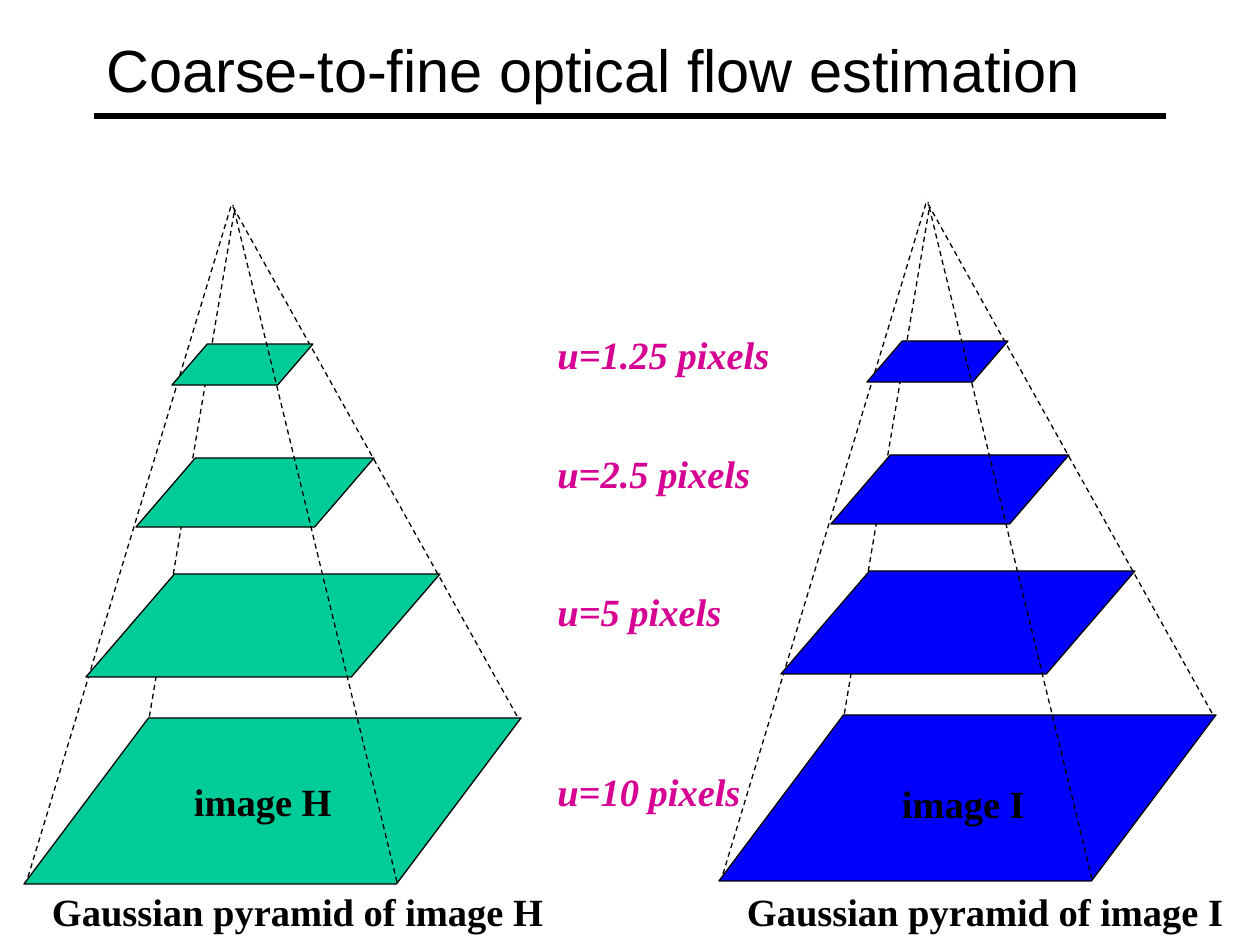
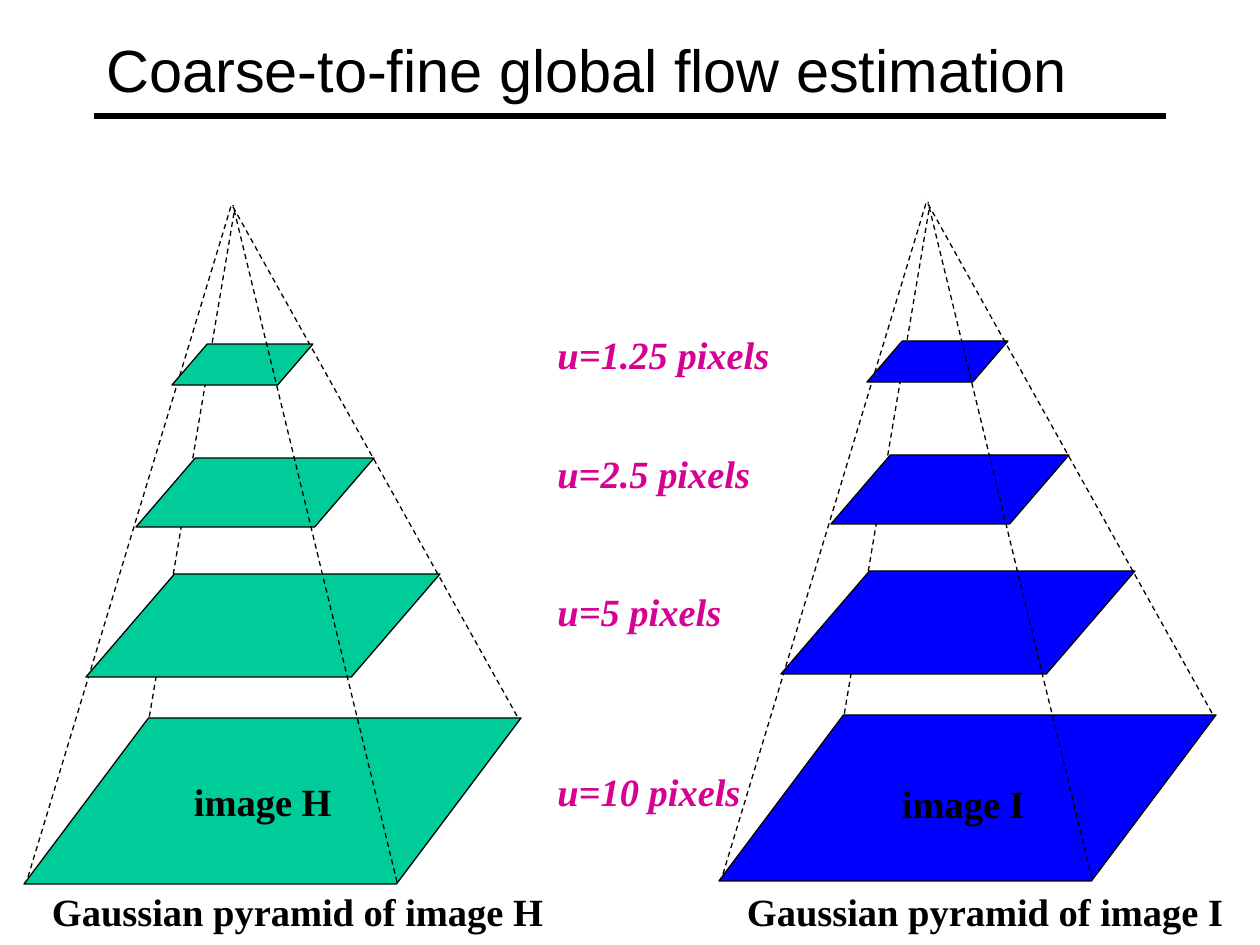
from pptx import Presentation
from pptx.dml.color import RGBColor
from pptx.enum.dml import MSO_LINE
from pptx.enum.shapes import MSO_CONNECTOR, MSO_SHAPE
from pptx.enum.text import MSO_ANCHOR
from pptx.oxml import parse_xml
from pptx.oxml.ns import nsdecls
from pptx.util import Emu, Pt

STRAIGHT = MSO_CONNECTOR.STRAIGHT
PARALLELOGRAM = MSO_SHAPE.PARALLELOGRAM
DASH = MSO_LINE.DASH
MIDDLE, TOP = MSO_ANCHOR.MIDDLE, MSO_ANCHOR.TOP

PX = 914400 / 126
COLORS = {"ink": "000000", "green": "00CC99", "blue": "0000FF", "flow": "D60093"}
TITLE_FONT, BODY_FONT = "Arial", "Times New Roman"

TITLES = [
    "Coarse-to-fine optical flow estimation",
    "Coarse-to-fine global flow estimation",
]

# Pyramid geometry, placed for image H; image I is the same, shifted
LEVELS = [  # left, top, width, height, slant
    (24, 718, 497, 166, 0.75),
    (86, 574, 354, 103, 0.86),
    (136, 458, 238, 69, 0.86),
    (172, 344, 141, 41, 0.86),
]
BACK_EDGES = [
    (28, 877, 232, 203),
    (517, 716, 232, 205),
    (234, 213, 149, 719),
]
FRONT_EDGE = (397, 882, 233, 205)

PYRAMIDS = [  # image, fill, shift, label box, caption box
    ("H", "green", (0, 0), (194, 778, 150, 47), (52, 888, 504, 47)),
    ("I", "blue", (695, -3), (902, 780, 135, 47), (747, 888, 489, 47)),
]
FLOWS = [  # text, top, width
    ("u=1.25 pixels", 325, 245),
    ("u=2.5 pixels", 444, 226),
    ("u=5 pixels", 582, 197),
    ("u=10 pixels", 762, 216),
]


def add_line(page, ends, width=0.75, dash=DASH):
    line = page.shapes.add_connector(STRAIGHT, *[Emu(round(v * PX)) for v in ends])
    line.line.color.rgb = RGBColor.from_string(COLORS["ink"])
    line.line.width = Pt(width)
    if dash is not None:
        line.line.dash_style = dash
    line._element.spPr.append(parse_xml(f"<a:effectLst {nsdecls('a')}/>"))


def add_text(page, text, place, size=22, font=BODY_FONT, color="ink", bold=True,
             italic=False, inset=(0, 0), anchor=TOP):
    box = page.shapes.add_textbox(*[Emu(round(v * PX)) for v in place])
    frame = box.text_frame
    frame.word_wrap = True
    frame.vertical_anchor = anchor
    frame.margin_left = frame.margin_right = Pt(inset[0])
    frame.margin_top = frame.margin_bottom = Pt(inset[1])
    para = frame.paragraphs[0]
    para.text = text
    para.font.name = font
    para.font.size = Pt(size)
    para.font.bold = bold
    para.font.italic = italic
    para.font.color.rgb = RGBColor.from_string(COLORS[color])


deck = Presentation()
deck.slide_width, deck.slide_height = Emu(round(1260 * PX)), Emu(round(945 * PX))
blank = deck.slide_layouts[6]

for title in TITLES:
    page = deck.slides.add_slide(blank)

    # Title and the rule under it
    add_line(page, (94, 116, 1166, 116), width=3, dash=None)
    add_text(page, title, (94, 11, 1072, 116), size=34, font=TITLE_FONT, bold=False,
             inset=(7.2, 3.6), anchor=MIDDLE)

    # Two pyramids: edges behind, levels, then the edge in front
    for image, fill, (dx, dy), label_place, caption_place in PYRAMIDS:
        for x1, y1, x2, y2 in BACK_EDGES:
            add_line(page, (x1 + dx, y1 + dy, x2 + dx, y2 + dy))
        for left, top, width, height, slant in LEVELS:
            place = (left + dx, top + dy, width, height)
            level = page.shapes.add_shape(PARALLELOGRAM, *[Emu(round(v * PX)) for v in place])
            level.adjustments[0] = slant
            level.shadow.inherit = False
            level.fill.solid()
            level.fill.fore_color.rgb = RGBColor.from_string(COLORS[fill])
            level.line.color.rgb = RGBColor.from_string(COLORS["ink"])
            level.line.width = Pt(0.75)
        x1, y1, x2, y2 = FRONT_EDGE
        add_line(page, (x1 + dx, y1 + dy, x2 + dx, y2 + dy))
        add_text(page, f"image {image}", label_place)
        add_text(page, f"Gaussian pyramid of image {image}", caption_place)

    # Flow size at each level
    for text, top, width in FLOWS:
        add_text(page, text, (545, top, width, 59), color="flow", italic=True,
                 inset=(7.2, 3.6))

deck.save("out.pptx")
